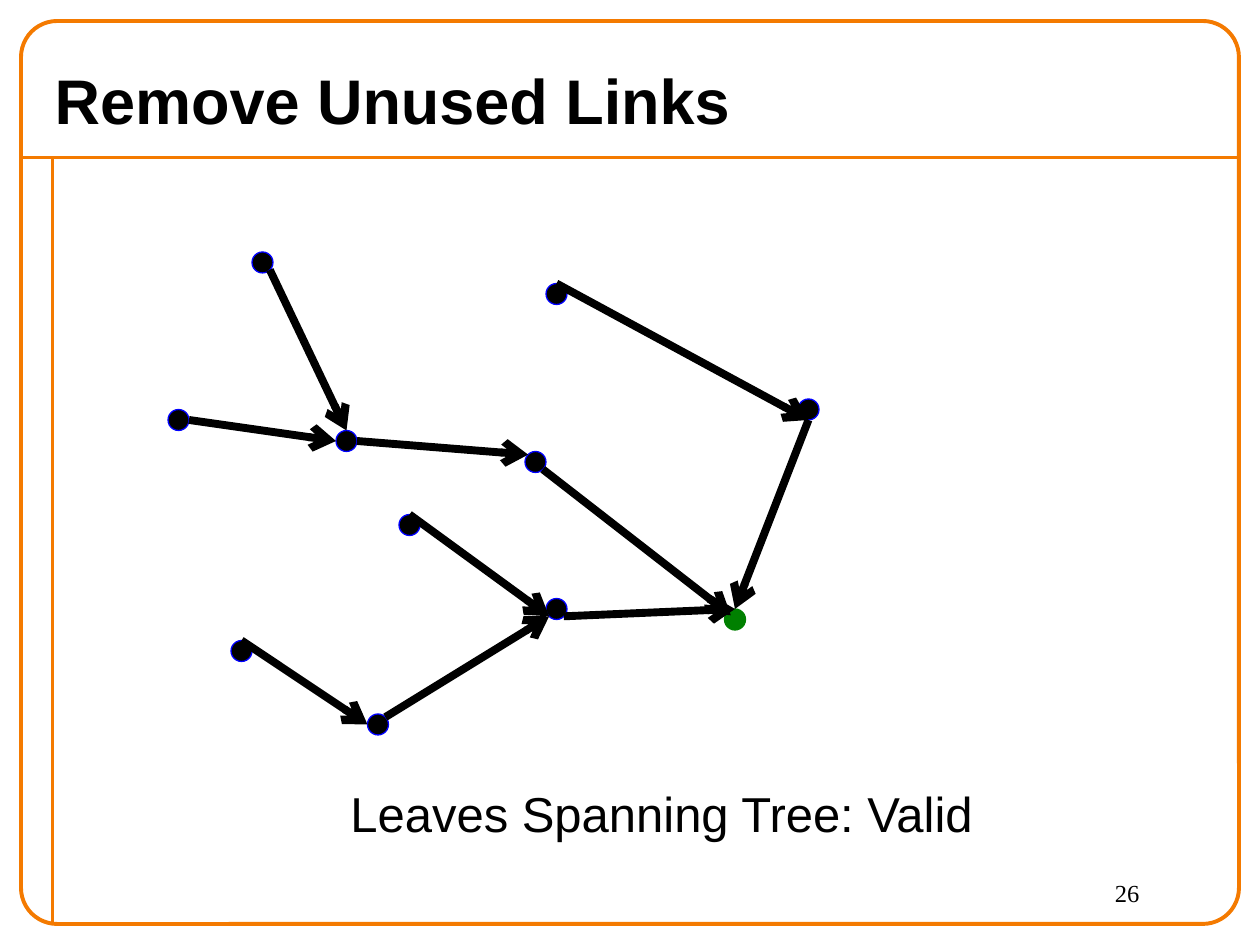
from pptx import Presentation
from pptx.dml.color import RGBColor
from pptx.enum import shapes, text
from pptx.oxml import ns
from pptx.util import Pt
from lxml import etree

COLORS = {"frame": "F47A00", "ink": "000000", "node_line": "0000FF", "root": "008000"}
DIAMETER = 12

# Top left corner of each node, relative to the graph box
NODES = {
    "north": (48, 0), "west": (0, 90), "hub": (96, 102), "middle": (204, 114),
    "top": (216, 18), "east": (360, 84), "inner": (132, 150), "join": (216, 198),
    "southwest": (36, 222), "south": (114, 264), "root": (318, 204),
}
# Where a link touches a node, as fractions of the diameter
SITES = {
    "t": (0.5, 0), "b": (0.5, 1), "l": (0, 0.5), "r": (1, 0.5),
    "tl": (0.15, 0.15), "tr": (0.85, 0.15), "bl": (0.15, 0.85), "br": (0.85, 0.85),
    "inside": (0.3, 0.3),
}
LINKS = [
    ("north", "br", "hub", "t"), ("middle", "br", "root", "inside"),
    ("top", "t", "east", "b"), ("east", "b", "root", "t"),
    ("southwest", "t", "south", "l"), ("inner", "t", "join", "bl"),
    ("join", "br", "root", "t"), ("hub", "r", "middle", "tl"),
    ("west", "r", "hub", "l"), ("south", "tr", "join", "bl"),
]


def rgb(name):
    return RGBColor.from_string(COLORS[name])


def set_line(shape, color, width):
    shape.line.color.rgb = rgb(color)
    shape.line.width = Pt(width)


def add_line(s, start, end, color, width, arrow=False):
    c = s.shapes.add_connector(shapes.MSO_CONNECTOR.STRAIGHT,
                               *(Pt(v) for v in (*start, *end)))
    set_line(c, color, width)
    if arrow:
        etree.SubElement(c.line._get_or_add_ln(), ns.qn("a:tailEnd"), type="arrow")
    etree.SubElement(c._element.spPr, ns.qn("a:effectLst"))


def set_text(shape, words, size, font, align, bold=False):
    tf = shape.text_frame
    tf.word_wrap = True
    p = tf.paragraphs[0]
    p.text = words
    p.alignment = align
    p.font.size, p.font.name, p.font.bold = Pt(size), font, bold
    p.font.color.rgb = rgb("ink")
    return tf


def add_text(s, box, *style):
    set_text(s.shapes.add_textbox(*(Pt(v) for v in box)), *style)


def add_frame(s, x, y, w, h):
    rule_y, rule_x = y + 78, x + 18
    add_line(s, (x, rule_y), (x + w, rule_y), "frame", 2.25)
    add_line(s, (rule_x, rule_y), (rule_x, y + h), "frame", 2.25)
    border = s.shapes.add_shape(shapes.MSO_SHAPE.ROUNDED_RECTANGLE,
                                Pt(x), Pt(y), Pt(w), Pt(h))
    border.adjustments[0] = 0.04
    border.shadow.inherit = False
    border.fill.background()
    set_line(border, "frame", 2.25)


def add_title(s, x, y, w, h):
    title = s.shapes.title
    title.left, title.top, title.width, title.height = Pt(x), Pt(y), Pt(w), Pt(h)
    tf = set_text(title, "Remove Unused Links", 36, "Arial", text.PP_ALIGN.LEFT, True)
    tf.vertical_anchor = text.MSO_ANCHOR.MIDDLE


def add_graph(s, x, y):
    def site(node, name):
        return [o + n + f * DIAMETER
                for o, n, f in zip((x, y), NODES[node], SITES[name])]

    for name, (dx, dy) in NODES.items():
        dot = s.shapes.add_shape(shapes.MSO_SHAPE.OVAL, Pt(x + dx), Pt(y + dy),
                                 Pt(DIAMETER), Pt(DIAMETER))
        dot.shadow.inherit = False
        is_root = name == "root"
        dot.fill.solid()
        dot.fill.fore_color.rgb = rgb("root" if is_root else "ink")
        set_line(dot, "root" if is_root else "node_line", 0.75)

    for source, leave, target, arrive in LINKS:
        add_line(s, site(source, leave), site(target, arrive), "ink", 4.5, arrow=True)


def main():
    prs = Presentation()
    prs.slide_width, prs.slide_height = Pt(720), Pt(540)
    s = prs.slides.add_slide(prs.slide_layouts[5])

    # Frame, title and page number
    add_frame(s, 12, 12, 696, 516)
    add_title(s, 24, 30, 635, 54)
    add_text(s, (630, 498, 72, 30), "26", 14, "Times New Roman", text.PP_ALIGN.LEFT)

    # Spanning tree and its caption
    add_graph(s, 96, 144)
    add_text(s, (144, 444, 468, 41), "Leaves Spanning Tree: Valid", 28, "Arial",
             text.PP_ALIGN.CENTER)

    prs.save("out.pptx")


if __name__ == "__main__":
    main()
